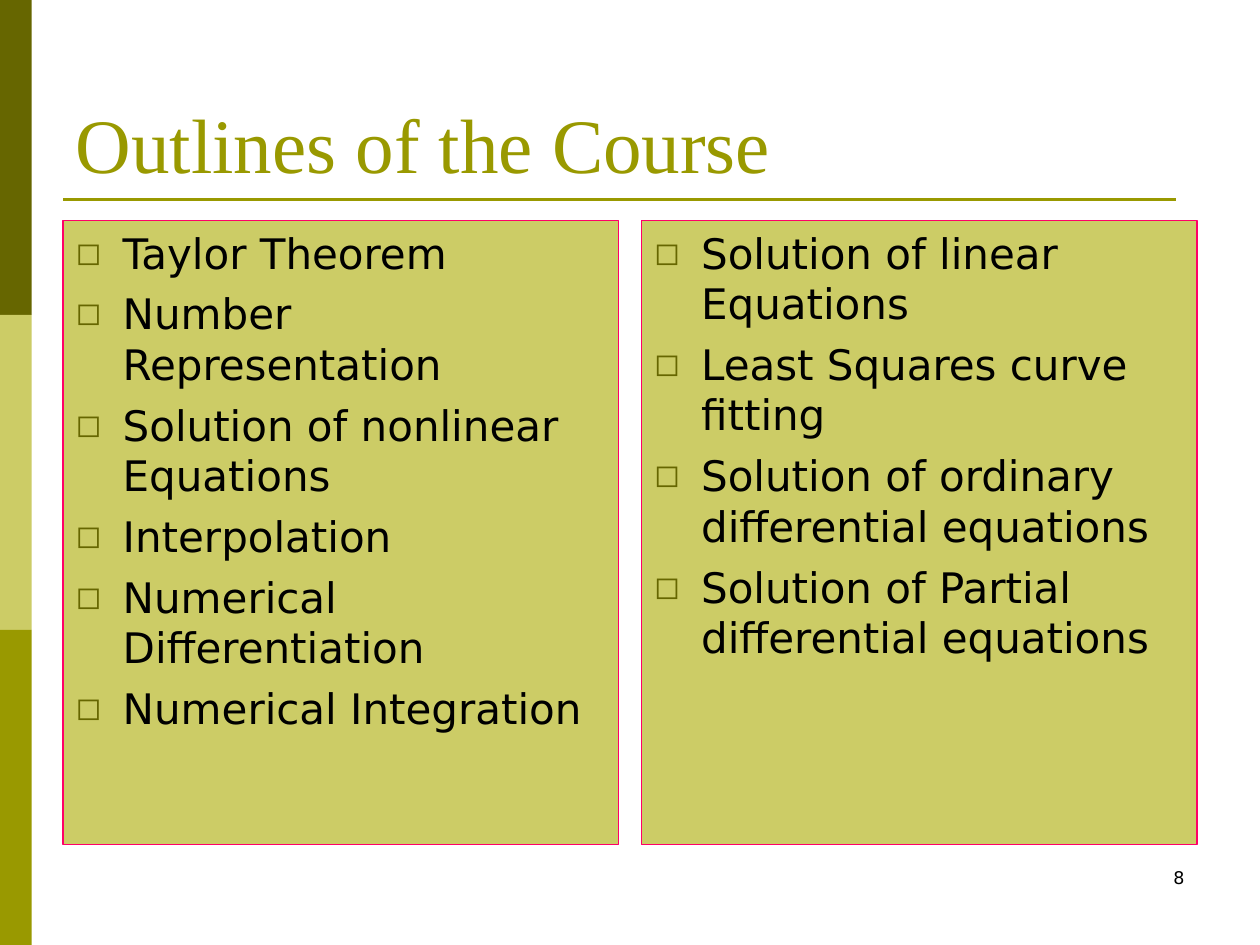
from lxml import etree
from pptx import Presentation
from pptx.dml.color import RGBColor
from pptx.enum.shapes import MSO_CONNECTOR, MSO_SHAPE
from pptx.enum.text import MSO_ANCHOR, MSO_AUTO_SIZE, PP_ALIGN
from pptx.oxml.ns import qn
from pptx.util import Cm, Pt

DARK_OLIVE = RGBColor(0x66, 0x66, 0x00)
OLIVE = RGBColor(0x99, 0x99, 0x00)
LIGHT_OLIVE = RGBColor(0xCC, 0xCC, 0x66)
PINK = RGBColor(0xFF, 0x00, 0x66)
BLACK = RGBColor(0x00, 0x00, 0x00)

SANS = "DejaVu Sans"
SERIF = "Times New Roman"
BAND_HEIGHT = 6.35
COLUMN_LEFTS = (1.27, 12.93)
COLUMN_TOPICS = (
    (
        "Taylor Theorem",
        "Number Representation",
        "Solution of nonlinear Equations",
        "Interpolation",
        "Numerical Differentiation",
        "Numerical Integration",
    ),
    (
        "Solution of linear Equations",
        "Least Squares curve fitting",
        "Solution of ordinary differential equations",
        "Solution of Partial differential equations",
    ),
)


def place(shape, left, top, width, height):
    shape.left, shape.top = Cm(left), Cm(top)
    shape.width, shape.height = Cm(width), Cm(height)


def format_runs(paragraph, font_name, size, color):
    for run in paragraph.runs:
        run.font.name = font_name
        run.font.size = Pt(size)
        run.font.color.rgb = color


def add_band(slide, top, color):
    band = slide.shapes.add_shape(
        MSO_SHAPE.RECTANGLE, 0, Cm(top), Cm(0.64), Cm(BAND_HEIGHT)
    )
    band.shadow.inherit = False
    band.fill.solid()
    band.fill.fore_color.rgb = color
    band.line.fill.background()


def add_title_rule(slide):
    rule = slide.shapes.add_connector(
        MSO_CONNECTOR.STRAIGHT, Cm(1.27), Cm(4.02), Cm(23.7), Cm(4.02)
    )
    rule.line.color.rgb = OLIVE
    rule.line.width = Pt(1.5)
    properties = rule._element.find(qn("p:spPr"))
    etree.SubElement(properties, qn("a:effectLst"))


def fill_title(title, text):
    place(title, 1.27, 0.76, 22.86, 3.18)
    frame = title.text_frame
    frame.text = text
    frame.auto_size = MSO_AUTO_SIZE.NONE
    frame.vertical_anchor = MSO_ANCHOR.BOTTOM
    paragraph = frame.paragraphs[0]
    paragraph.alignment = PP_ALIGN.LEFT
    format_runs(paragraph, SERIF, 44, OLIVE)


def add_square_bullet(paragraph):
    properties = paragraph._p.get_or_add_pPr()
    properties.set("marL", str(Cm(0.95)))
    properties.set("indent", str(Cm(-0.95)))
    color = etree.SubElement(properties, qn("a:buClr"))
    etree.SubElement(color, qn("a:srgbClr"), val=str(DARK_OLIVE))
    etree.SubElement(properties, qn("a:buSzPct"), val="75000")
    etree.SubElement(properties, qn("a:buFont"), typeface=SANS)
    etree.SubElement(properties, qn("a:buChar"), char="◻")


def fill_topics(body, left, topics):
    place(body, left, 4.45, 11.2, 12.57)
    body.fill.solid()
    body.fill.fore_color.rgb = LIGHT_OLIVE
    body.line.color.rgb = PINK
    body.line.width = Pt(0.75)
    frame = body.text_frame
    frame.text = "\n".join(topics)
    frame.auto_size = MSO_AUTO_SIZE.NONE
    for paragraph in frame.paragraphs:
        paragraph.space_before = Pt(6)
        add_square_bullet(paragraph)
        format_runs(paragraph, SANS, 24, BLACK)


def add_page_number(slide, text):
    box = slide.shapes.add_textbox(Cm(18.2), Cm(17.36), Cm(5.93), Cm(1.27))
    frame = box.text_frame
    frame.word_wrap = True
    frame.text = text
    paragraph = frame.paragraphs[0]
    paragraph.alignment = PP_ALIGN.RIGHT
    format_runs(paragraph, SANS, 10, BLACK)


def main():
    presentation = Presentation()
    presentation.slide_width, presentation.slide_height = Cm(25.4), Cm(19.05)
    slide = presentation.slides.add_slide(presentation.slide_layouts[3])
    for index, color in enumerate((DARK_OLIVE, LIGHT_OLIVE, OLIVE)):
        add_band(slide, index * BAND_HEIGHT, color)
    add_title_rule(slide)
    title, *bodies = slide.placeholders
    fill_title(title, "Outlines of the Course")
    for body, left, topics in zip(bodies, COLUMN_LEFTS, COLUMN_TOPICS):
        fill_topics(body, left, topics)
    add_page_number(slide, "8")
    presentation.save("out.pptx")


if __name__ == "__main__":
    main()
